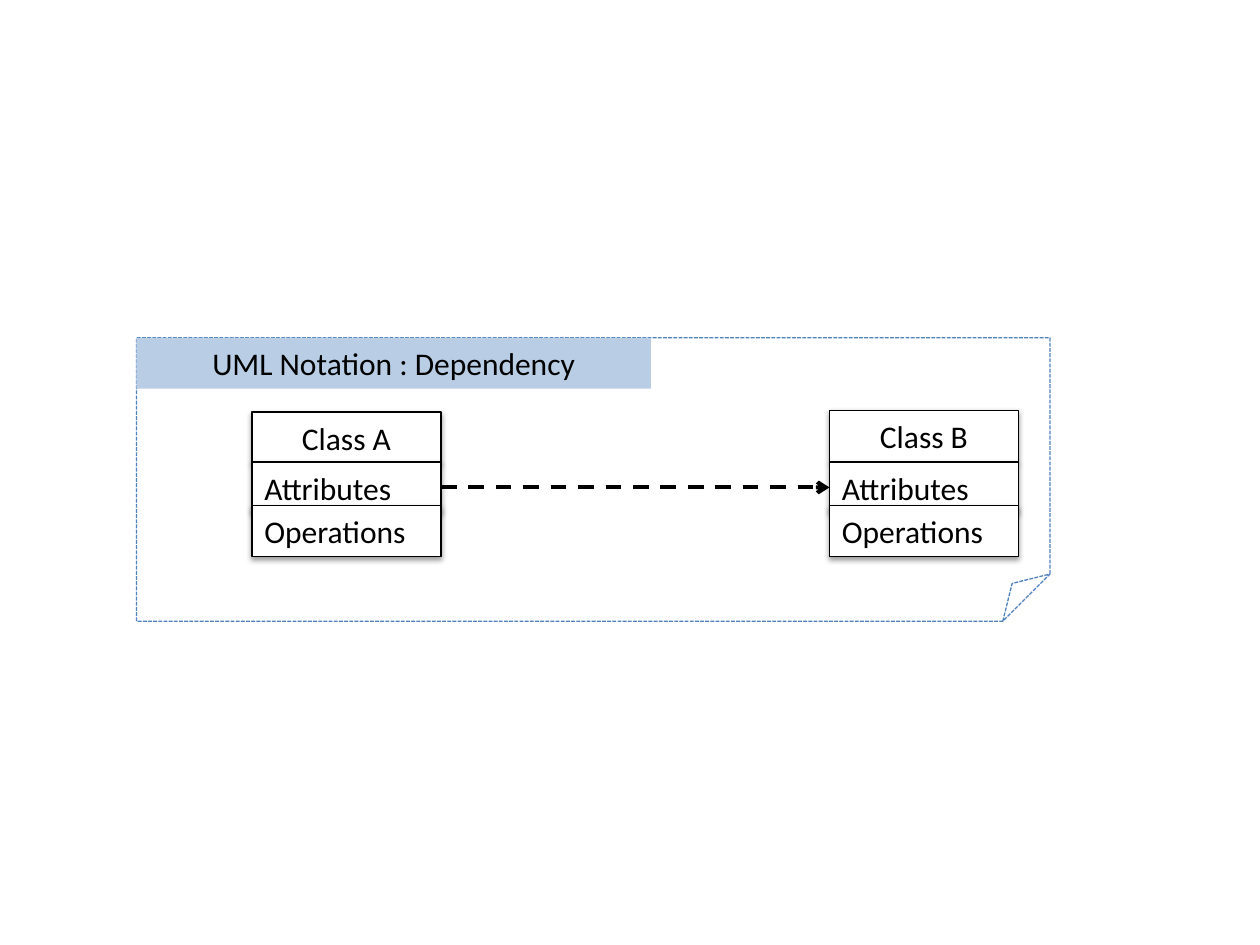
from lxml import etree
from pptx import Presentation
from pptx.dml.color import RGBColor
from pptx.enum.dml import MSO_LINE
from pptx.enum.shapes import MSO_CONNECTOR, MSO_SHAPE
from pptx.enum.text import MSO_ANCHOR, MSO_AUTO_SIZE, PP_ALIGN
from pptx.oxml import parse_xml
from pptx.oxml.ns import nsdecls, qn
from pptx.util import Pt

THEME = dict(font="Calibri", size=18, ink="000000", paper="FFFFFF",
             note="4F81BD", banner="B9CDE5", thin=0.75, thick=2.25)

TITLE = "UML Notation : Dependency"
NOTE = (78, 193, 522, 162)  # left, top, width, height
BANNER_W = 294
ROW_H = 29.1
CLASS_W = 108
# name, left, top of the name row
CLASSES = [("Class A", 144, 235.5), ("Class B", 474, 234.5)]
# text, top
SECTIONS = [("Attributes", 264), ("Operations", 289)]

SHADOW = f"""<a:effectLst {nsdecls('a')}>
  <a:outerShdw blurRad="40000" dist="20000" dir="5400000" rotWithShape="0">
    <a:srgbClr val="{THEME['ink']}"><a:alpha val="38000"/></a:srgbClr>
  </a:outerShdw>
</a:effectLst>"""


def color(key):
    return RGBColor.from_string(THEME[key])


def add_box(slide, kind, box, fill=None, line=None, dash=None, shadow=False):
    sp = slide.shapes.add_shape(kind, *map(Pt, box))
    sp.shadow.inherit = False
    if fill:
        sp.fill.solid()
        sp.fill.fore_color.rgb = color(fill)
    else:
        sp.fill.background()
    if line:
        sp.line.color.rgb = color(line)
        sp.line.width = Pt(THEME["thin"])
        if dash:
            sp.line.dash_style = dash
    else:
        sp.line.fill.background()
    if shadow:
        effects = sp._element.spPr.find(qn("a:effectLst"))
        effects.getparent().replace(effects, parse_xml(SHADOW))
    return sp


def write(sp, text, align=PP_ALIGN.LEFT, anchor=MSO_ANCHOR.MIDDLE):
    tf = sp.text_frame
    tf.word_wrap = True
    tf.auto_size = MSO_AUTO_SIZE.SHAPE_TO_FIT_TEXT
    tf.vertical_anchor = anchor
    p = tf.paragraphs[0]
    p.alignment = align
    r = p.add_run()
    r.text = text
    r.font.name = THEME["font"]
    r.font.size = Pt(THEME["size"])
    r.font.color.rgb = color("ink")


def add_class(slide, name, left, top):
    """Stack the rows of a class and return its attributes row."""
    rows = [(name, top, PP_ALIGN.CENTER)]
    rows += [(text, y, PP_ALIGN.LEFT) for text, y in SECTIONS]
    shapes = []
    for text, y, align in rows:
        sp = add_box(slide, MSO_SHAPE.RECTANGLE, (left, y, CLASS_W, ROW_H),
                     fill="paper", line="ink", shadow=True)
        write(sp, text, align=align)
        shapes.append(sp)
    return shapes[1]


def add_dependency(slide, client, supplier):
    y = client.top + client.height // 2
    cx = slide.shapes.add_connector(MSO_CONNECTOR.ELBOW, client.left + client.width, y,
                                    supplier.left, y)
    cx.begin_connect(client, 3)
    cx.end_connect(supplier, 1)
    cx.line.color.rgb = color("ink")
    cx.line.width = Pt(THEME["thick"])
    cx.line.dash_style = MSO_LINE.DASH
    etree.SubElement(cx.line._get_or_add_ln(), qn("a:tailEnd"), type="arrow")
    etree.SubElement(cx._element.spPr, qn("a:effectLst"))


def main():
    prs = Presentation()
    prs.slide_width, prs.slide_height = Pt(720), Pt(540)
    slide = prs.slides.add_slide(prs.slide_layouts[6])

    add_box(slide, MSO_SHAPE.FOLDED_CORNER, NOTE, line="note", dash=MSO_LINE.SQUARE_DOT)
    banner = add_box(slide, MSO_SHAPE.RECTANGLE, (*NOTE[:2], BANNER_W, ROW_H), fill="banner")
    write(banner, TITLE, align=PP_ALIGN.CENTER, anchor=MSO_ANCHOR.TOP)

    client, supplier = [add_class(slide, *item) for item in CLASSES]
    add_dependency(slide, client, supplier)
    prs.save("out.pptx")


if __name__ == "__main__":
    main()
